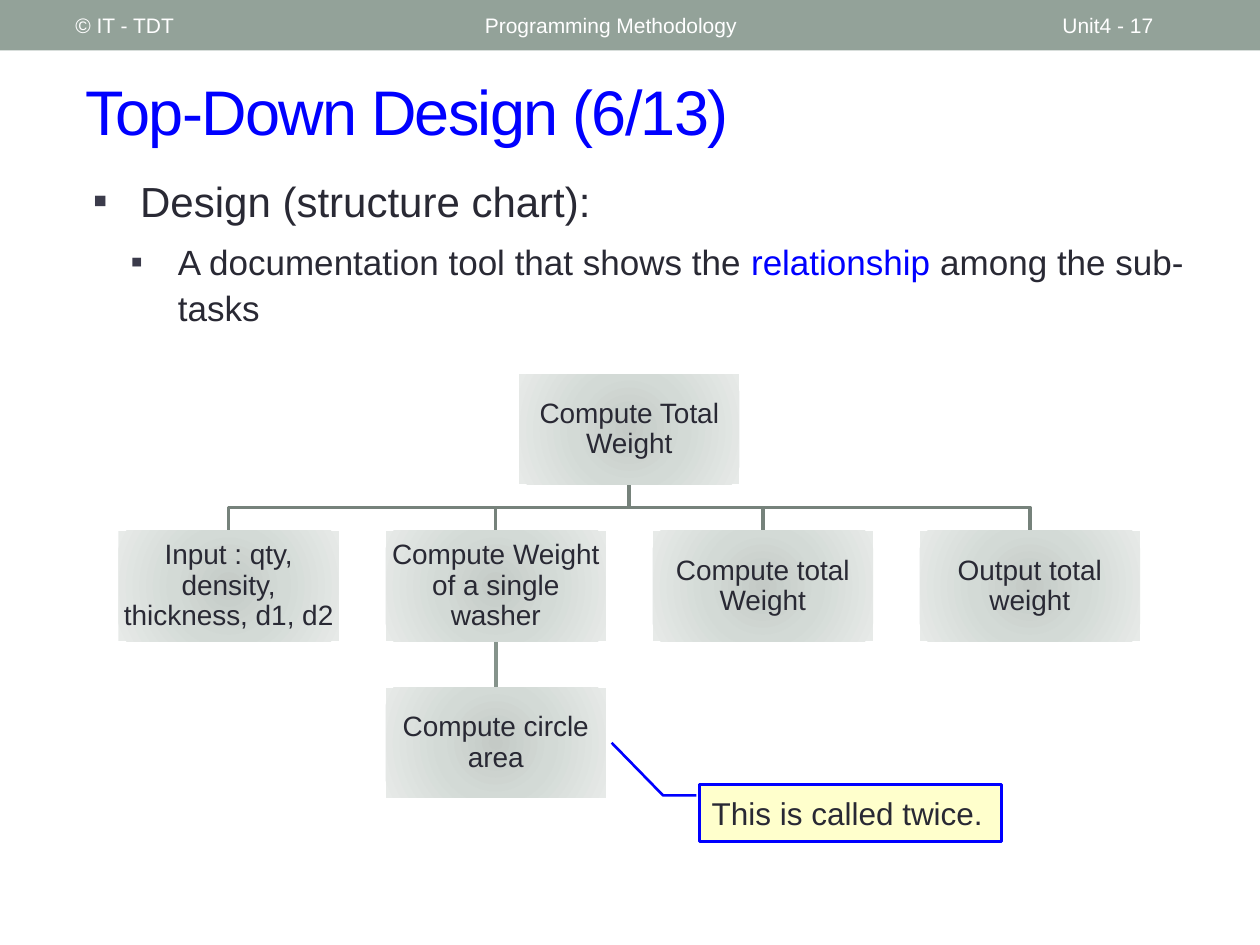
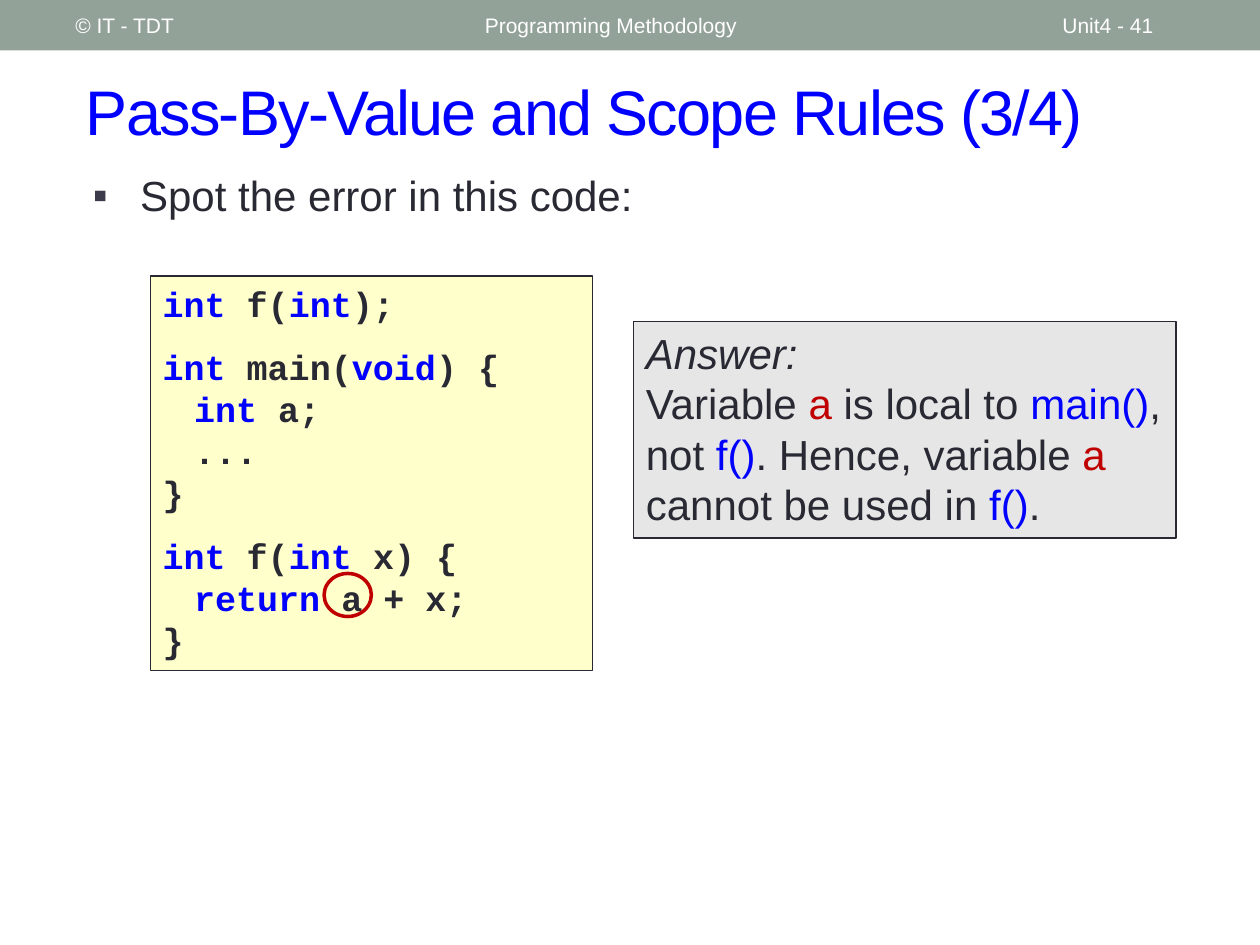
from dataclasses import dataclass

from lxml.etree import SubElement
from pptx import Presentation
from pptx.dml.color import RGBColor
from pptx.enum.shapes import MSO_CONNECTOR as Connector, MSO_SHAPE as Shape
from pptx.enum.text import MSO_ANCHOR as Anchor, PP_ALIGN as Align
from pptx.oxml.ns import qn
from pptx.util import Pt


@dataclass(frozen=True)
class Theme:
    band: str = "93A299"
    white: str = "FFFFFF"
    ink: str = "292934"
    blue: str = "0000FF"
    red: str = "C00000"
    bullet: str = "3B3B4B"
    note: str = "FFFFCC"
    answer: str = "E6E6E6"
    branch: str = "76827B"
    stem: str = "85938B"
    box_stops: tuple = ((0, "C4CAC6"), (45, "D3DAD6"), (100, "E7EAE8"))
    font: str = "Arial"
    code_font: str = "Courier New"
    title_size: int = 36
    heading_size: int = 24
    body_size: int = 20
    callout_size: int = 18
    box_size: int = 16
    footer_size: int = 12


theme = Theme()


def add_panel(slide, bounds, kind=None, fill=None, line=None, weight=0.75,
              anchor=Anchor.MIDDLE, inset=None):
    """Add a preset shape, or a text box when no kind is given."""
    bounds = [Pt(value) for value in bounds]
    if kind is None:
        shape = slide.shapes.add_textbox(*bounds)
    else:
        shape = slide.shapes.add_shape(kind, *bounds)
        shape.shadow.inherit = False
        if fill:
            shape.fill.solid()
            shape.fill.fore_color.rgb = RGBColor.from_string(fill)
        else:
            shape.fill.background()
        if line:
            shape.line.color.rgb = RGBColor.from_string(line)
            shape.line.width = Pt(weight)
        else:
            shape.line.fill.background()
    frame = shape.text_frame
    frame.word_wrap = True
    frame.vertical_anchor = anchor
    if inset is not None:
        frame.margin_left = frame.margin_right = Pt(inset)
        frame.margin_top = frame.margin_bottom = Pt(inset)
    return shape


def write(shape, text, size=theme.body_size, color=theme.ink, font=theme.font,
          bold=False, italic=False, align=Align.LEFT, spacing=None, before=0,
          tracking=0, bullet_left=None, tabs=(), accents=None):
    """Add one paragraph; parts between bars are blue or take their accent."""
    frame = shape.text_frame
    paragraph = frame.paragraphs[0]
    if paragraph.runs:
        paragraph = frame.add_paragraph()
        paragraph.space_before = Pt(before)
    paragraph.alignment = align
    if spacing:
        paragraph.line_spacing = spacing
    properties = paragraph._p.get_or_add_pPr()
    if bullet_left is not None:
        properties.set("marL", str(Pt(bullet_left)))
        properties.set("indent", str(-Pt(27)))
        bullet_color = SubElement(properties, qn("a:buClr"))
        SubElement(bullet_color, qn("a:srgbClr"), val=theme.bullet)
        SubElement(properties, qn("a:buFont"), typeface=theme.font)
        SubElement(properties, qn("a:buChar"), char="▪")
    if tabs:
        tab_list = SubElement(properties, qn("a:tabLst"))
        for position in tabs:
            SubElement(tab_list, qn("a:tab"), pos=str(Pt(position)), algn="l")
    for index, part in enumerate(text.split("|")):
        if not part:
            continue
        run = paragraph.add_run()
        run.text = part
        run.font.name, run.font.size = font, Pt(size)
        run.font.bold, run.font.italic = bold, italic
        accent = (accents or {}).get(part, theme.blue)
        run.font.color.rgb = RGBColor.from_string(accent if index % 2 else color)
        if tracking:
            run._r.get_or_add_rPr().set("spc", str(tracking * 100))


presentation = Presentation()
presentation.slide_width, presentation.slide_height = Pt(720), Pt(540)

# Header band and title on both slides
slides = []
for title, number in (("Top-Down Design (6/13)", 17),
                      ("Pass-By-Value and Scope Rules (3/4)", 41)):
    slide = presentation.slides.add_slide(presentation.slide_layouts[6])
    slides.append(slide)
    add_panel(slide, (0, 0, 720, 28.8), Shape.RECTANGLE, theme.band)
    for left, width, label in ((36, 228, "© IT - TDT"),
                               (270, 324, "Programming Methodology"),
                               (600, 84, f"Unit4 - {number}")):
        write(add_panel(slide, (left, 1.5, width, 26)), label,
              size=theme.footer_size, color=theme.white)
    write(add_panel(slide, (42, 30, 660, 66)), title, size=theme.title_size,
          color=theme.blue, tracking=-1)
design_slide, scope_slide = slides

# Structure chart: introduction
body = add_panel(design_slide, (46, 93.6, 643, 110), anchor=Anchor.TOP)
write(body, "Design (structure chart):", size=theme.heading_size,
      spacing=1.1, bullet_left=27)
write(body, "A documentation tool that shows the |relationship| among the sub-tasks",
      spacing=1.1, before=6, bullet_left=48.6)

# Structure chart: grid of boxes, as (column, row, label)
box_width, box_height = 126, 63
chart_left, chart_top = 67.7, 213.8
column_step, row_step = 152.6, 89.6
tasks = [
    (1.5, 0, "Compute Total Weight"),
    (0, 1, "Input : qty, density, thickness, d1, d2"),
    (1, 1, "Compute Weight of a single washer"),
    (2, 1, "Compute total Weight"),
    (3, 1, "Output total weight"),
    (1, 2, "Compute circle area"),
]

# Branches from the main task to its four steps
root_center = chart_left + 1.5 * column_step + box_width / 2
root_bottom = chart_top + box_height
steps_top = chart_top + row_step
middle = (root_bottom + steps_top) / 2
for column in range(4):
    center = chart_left + column * column_step + box_width / 2
    builder = design_slide.shapes.build_freeform(Pt(root_center), Pt(root_bottom))
    builder.add_line_segments([(Pt(root_center), Pt(middle)),
                               (Pt(center), Pt(middle)),
                               (Pt(center), Pt(steps_top))], close=False)
    branch = builder.convert_to_shape()
    branch.shadow.inherit = False
    branch.fill.background()
    branch.line.color.rgb = RGBColor.from_string(theme.branch)
    branch.line.width = Pt(2)

# Stem from the washer step to its sub-task
stem_x = Pt(chart_left + column_step + box_width / 2)
stem = design_slide.shapes.add_connector(
    Connector.STRAIGHT, stem_x, Pt(steps_top + box_height),
    stem_x, Pt(steps_top + row_step))
stem.line.color.rgb = RGBColor.from_string(theme.stem)
stem.line.width = Pt(2)
SubElement(stem._element.spPr, qn("a:effectLst"))

# Task boxes with a radial gradient
for column, row, label in tasks:
    bounds = (chart_left + column * column_step, chart_top + row * row_step,
              box_width, box_height)
    box = add_panel(design_slide, bounds, Shape.RECTANGLE, theme.band, inset=0.75)
    box.fill.gradient()
    gradient = box._element.spPr.find(qn("a:gradFill"))
    for child in list(gradient):
        gradient.remove(child)
    stops = SubElement(gradient, qn("a:gsLst"))
    for percent, color in theme.box_stops:
        stop = SubElement(stops, qn("a:gs"), pos=str(percent * 1000))
        SubElement(stop, qn("a:srgbClr"), val=color)
    radial = SubElement(gradient, qn("a:path"), path="circle")
    SubElement(radial, qn("a:fillToRect"), l="100000", t="100000",
               r="100000", b="100000")
    write(box, label, size=theme.box_size, align=Align.CENTER, spacing=0.9)

# Callout on the shared sub-task
callout = add_panel(design_slide, (399.6, 448.3, 172.8, 32.7),
                    Shape.LINE_CALLOUT_2, theme.note, theme.blue, 1.5)
for index, value in enumerate((0.19, -0.01, 0.19, -0.12, -0.73, -0.29)):
    callout.adjustments[index] = value
write(callout, "This is called twice.", size=theme.callout_size)

# Scope rules: question
question = add_panel(scope_slide, (46, 93.6, 648, 45), anchor=Anchor.TOP)
write(question, "Spot the error in this code:", size=theme.heading_size,
      bullet_left=27)

# Code listing, one block per function
code_blocks = [
    ["|int| f(|int|);"],
    ["|int| main(|void|) {", "\t|int| a;", "\t...", "}"],
    ["|int| f(|int| x) {", "\t|return| a + x;", "}"],
]
code = add_panel(scope_slide, (85.8, 157.7, 253, 225.4), Shape.RECTANGLE,
                 theme.note, theme.ink, anchor=Anchor.TOP)
for block in code_blocks:
    for index, code_line in enumerate(block):
        write(code, code_line, font=theme.code_font, bold=True,
              before=0 if index else 12, tabs=(18, 36.7, 54))

# Answer
answer = add_panel(scope_slide, (362, 183.6, 310, 123.8), Shape.RECTANGLE,
                   theme.answer, theme.ink, anchor=Anchor.TOP)
write(answer, "Answer:", size=theme.heading_size, italic=True)
write(answer, "Variable |a| is local to |main()|, not |f()|. Hence, variable |a|"
      " cannot be used in |f()|.", size=theme.heading_size,
      accents={"a": theme.red})

# Ring around the faulty variable
add_panel(scope_slide, (185.2, 327.7, 27, 24.6), Shape.OVAL,
          line=theme.red, weight=2)

presentation.save("out.pptx")
